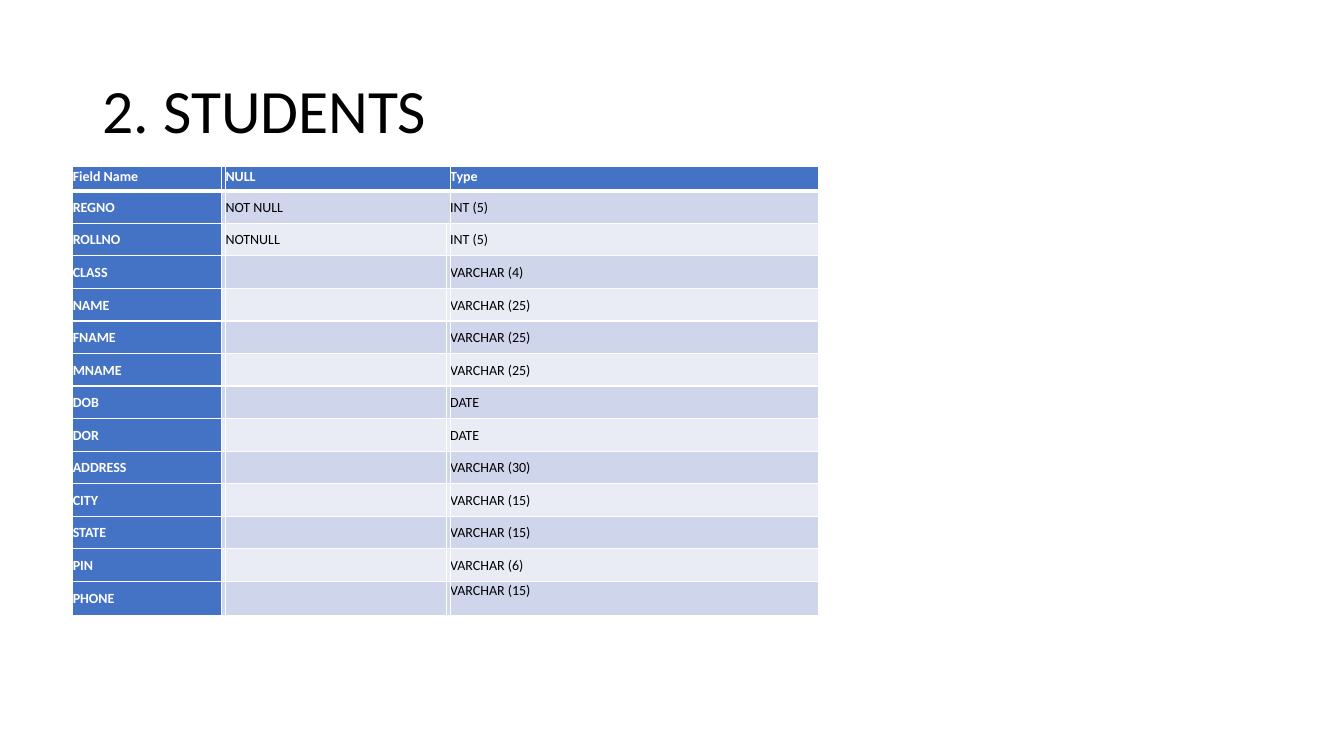
from lxml.etree import SubElement
from pptx import Presentation
from pptx.dml.color import RGBColor
from pptx.enum.text import MSO_ANCHOR, PP_ALIGN
from pptx.oxml.ns import qn
from pptx.util import Pt

BLACK = RGBColor(0x00, 0x00, 0x00)
WHITE = RGBColor(0xFF, 0xFF, 0xFF)
BLUE = RGBColor(0x44, 0x72, 0xC4)
DARK = RGBColor(0xCF, 0xD5, 0xEA)
LIGHT = RGBColor(0xE9, 0xEB, 0xF5)
FONT = "Calibri"

FIELDS = [
    ("Field Name", "NULL", "Type"),
    ("REGNO", "NOT NULL", "INT (5)"),
    ("ROLLNO", "NOTNULL", "INT (5)"),
    ("CLASS", "", "VARCHAR (4)"),
    ("NAME", "", "VARCHAR (25)"),
    ("FNAME", "", "VARCHAR (25)"),
    ("MNAME", "", "VARCHAR (25)"),
    ("DOB", "", "DATE"),
    ("DOR", "", "DATE"),
    ("ADDRESS", "", "VARCHAR (30)"),
    ("CITY", "", "VARCHAR (15)"),
    ("STATE", "", "VARCHAR (15)"),
    ("PIN", "", "VARCHAR (6)"),
    ("PHONE", "", "VARCHAR (15)"),
]
WIDTHS = [106.3, 2.3, 157.6, 2.3, 263.2]
LAST = len(FIELDS) - 1
HEIGHTS = [17.3] + [23.25] * (LAST - 1) + [24.5]


def write(para, text, size, color, bold=False):
    run = para.add_run()
    run.text = text
    run.font.name = FONT
    run.font.size = Pt(size)
    run.font.bold = bold
    run.font.color.rgb = color


def border(cell, base):
    """Draw white cell edges, with the bottom one base points wide."""
    props = cell._tc.get_or_add_tcPr()
    for i, (side, width) in enumerate(
            [("lnL", 1), ("lnR", 1), ("lnT", 1), ("lnB", base)]):
        line = props.makeelement(qn("a:" + side), {"w": str(Pt(width))})
        fill = SubElement(line, qn("a:solidFill"))
        SubElement(fill, qn("a:srgbClr"), val=str(WHITE))
        props.insert(i, line)


deck = Presentation()
deck.slide_width, deck.slide_height = Pt(960), Pt(540)
slide = deck.slides.add_slide(deck.slide_layouts[5])

title = slide.shapes.title
title.left, title.top = Pt(66), Pt(28.75)
title.width, title.height = Pt(828), Pt(104.4)
title.text_frame.vertical_anchor = MSO_ANCHOR.MIDDLE
para = title.text_frame.paragraphs[0]
para.alignment = PP_ALIGN.LEFT
para.line_spacing = 0.9
write(para, "2. STUDENTS", 44, BLACK)

frame = slide.shapes.add_table(
    len(FIELDS), len(WIDTHS), Pt(52), Pt(119),
    Pt(sum(WIDTHS)), Pt(sum(HEIGHTS)))
table = frame.table
table.horz_banding = False
for col, width in zip(table.columns, WIDTHS):
    col.width = Pt(width)
for row, height in zip(table.rows, HEIGHTS):
    row.height = Pt(height)

for r, (name, null, kind) in enumerate(FIELDS):
    for c, text in enumerate([name, "", null, "", kind]):
        cell = table.cell(r, c)
        head = r == 0 or c == 0
        cell.margin_left = cell.margin_right = 0
        cell.margin_top = cell.margin_bottom = 0
        cell.fill.solid()
        cell.fill.fore_color.rgb = BLUE if head else DARK if r % 2 else LIGHT
        border(cell, 3 if r == 0 else 1)
        top = r == 0 or (r == LAST and c == 4)
        cell.vertical_anchor = MSO_ANCHOR.TOP if top else MSO_ANCHOR.MIDDLE
        para = cell.text_frame.paragraphs[0]
        para.line_spacing = 1.07
        if text:
            write(para, text, 10, WHITE if head else BLACK, head)
        else:
            SubElement(para._p, qn("a:endParaRPr"), sz="1000")

for r in (0, 1):
    table.cell(r, 2).merge(table.cell(r, 3))

deck.save("out.pptx")
